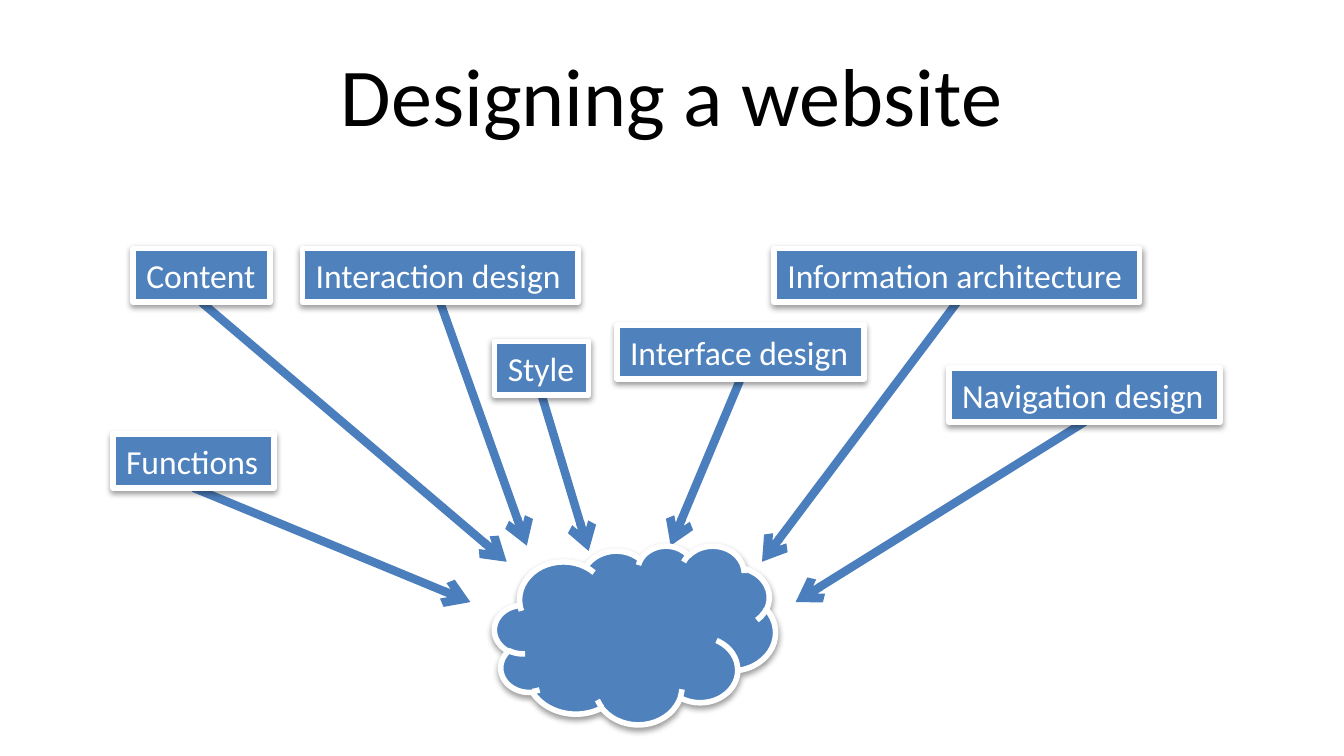
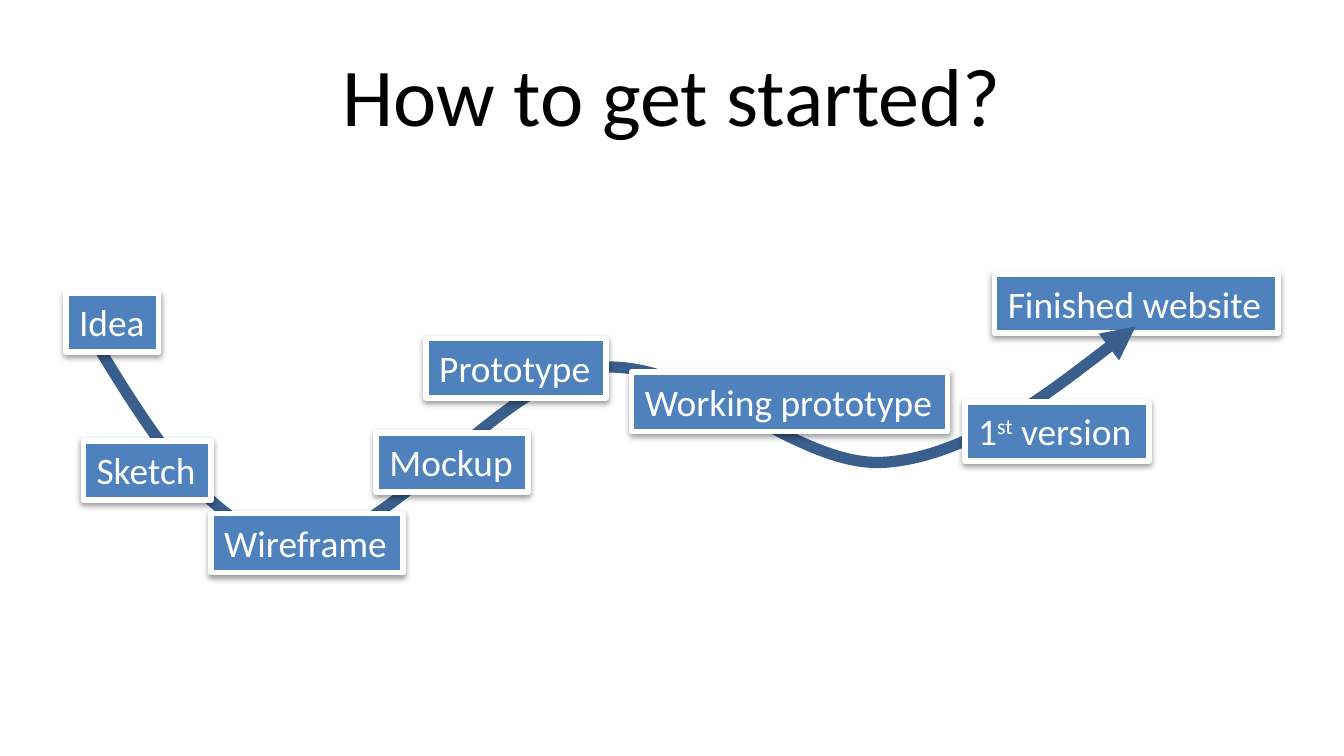
from lxml.etree import SubElement
from pptx import Presentation
from pptx.dml.color import RGBColor
from pptx.enum.shapes import MSO_CONNECTOR, MSO_SHAPE
from pptx.enum.text import MSO_ANCHOR, MSO_AUTO_SIZE, PP_ALIGN
from pptx.oxml.ns import qn
from pptx.util import Inches, Pt

BLACK = RGBColor(0x00, 0x00, 0x00)
WHITE = RGBColor(0xFF, 0xFF, 0xFF)
BLUE = RGBColor(0x4F, 0x81, 0xBD)
ARROW_BLUE = RGBColor(0x4B, 0x7E, 0xBC)
CURVE_BLUE = RGBColor(0x3A, 0x5F, 0x8C)
FONT = "Calibri"

# Label text, left, top, width, and the arrow's target at the cloud.
TOPICS = [
    ("Content", 0.99, 1.85, 1.02, (3.77, 4.18)),
    ("Style", 3.68, 2.54, 0.7, (4.38, 4.1)),
    ("Information architecture", 5.76, 1.85, 2.72, (5.67, 4.18)),
    ("Interaction design", 2.25, 1.85, 2.05, (3.92, 4.06)),
    ("Functions", 0.84, 3.23, 1.2, (3.5, 4.48)),
    ("Interface design", 4.59, 2.42, 1.84, (4.99, 4.06)),
    ("Navigation design", 7.06, 2.74, 2.02, (5.92, 4.48)),
]
TOPIC_HEIGHT = 0.4

GOAL = ("Finished website", 7.4, 2.04, 2.11)
STEPS = [
    ("Sketch", 0.62, 3.28, 0.95),
    ("Mockup", 2.8, 3.22, 1.13),
    ("Prototype", 3.17, 2.52, 1.34),
    ("Idea", 0.49, 2.18, 0.69),
    ("Working prototype", 4.7, 2.77, 2.35),
    (("1", "^st", " version"), 7.18, 2.99, 1.37),
    ("Wireframe", 1.57, 3.82, 1.43),
]
STEP_HEIGHT = 0.44

# A start point, then two control points and an end point for each bend.
JOURNEY = [
    (0.62, 2.4),
    (1.1, 3.19), (1.57, 3.99), (2.21, 4.04),
    (2.84, 4.1), (3.69, 2.84), (4.42, 2.74),
    (5.15, 2.64), (5.92, 3.49), (6.59, 3.44),
    (7.26, 3.39), (8.45, 2.43), (8.45, 2.43),
]


def write(frame, text, size, color, align=PP_ALIGN.LEFT,
          anchor=MSO_ANCHOR.TOP, wrap=False, grow=False):
    """Fill a text frame; a tuple gives runs, and ^ marks a superscript."""
    frame.word_wrap = wrap
    frame.vertical_anchor = anchor
    frame.auto_size = MSO_AUTO_SIZE.SHAPE_TO_FIT_TEXT if grow else MSO_AUTO_SIZE.NONE
    paragraph = frame.paragraphs[0]
    paragraph.alignment = align
    for part in (text,) if isinstance(text, str) else text:
        run = paragraph.add_run()
        run.text = part.lstrip("^")
        run.font.name = FONT
        run.font.size = Pt(size)
        run.font.color.rgb = color
        if part.startswith("^"):
            run.font._element.set("baseline", "30000")


def add_title(slide, text):
    """Add the centred slide title."""
    title = slide.shapes.add_textbox(Inches(0.5), Inches(0.23), Inches(9), Inches(0.94))
    write(title.text_frame, text, 44, BLACK, align=PP_ALIGN.CENTER,
          anchor=MSO_ANCHOR.MIDDLE, wrap=True)


def add_card(shapes, kind, left, top, width, height):
    """Add a blue shape with a white outline and a soft shadow below."""
    card = shapes.add_shape(kind, Inches(left), Inches(top), Inches(width), Inches(height))
    card.fill.solid()
    card.fill.fore_color.rgb = BLUE
    card.line.color.rgb = WHITE
    card.line.width = Pt(3)
    card.shadow.inherit = False
    effects = card._element.spPr.find(qn("a:effectLst"))
    shadow = SubElement(effects, qn("a:outerShdw"), blurRad="40000", dist="20000",
                        dir="5400000", rotWithShape="0")
    black = SubElement(shadow, qn("a:srgbClr"), val=str(BLACK))
    SubElement(black, qn("a:alpha"), val="38000")
    return card


def add_label(shapes, text, left, top, width, height, size):
    """Add a card that holds one line of white text."""
    label = add_card(shapes, MSO_SHAPE.RECTANGLE, left, top, width, height)
    write(label.text_frame, text, size, WHITE, grow=True)


def style_stroke(stroke, color, width, head):
    """Give a line its colour, its width in points and an arrowhead."""
    stroke.line.color.rgb = color
    stroke.line.width = Pt(width)
    SubElement(stroke.line._get_or_add_ln(), qn("a:tailEnd"), type=head)


def add_arrow(shapes, start, end):
    """Add a straight arrow without a shadow."""
    arrow = shapes.add_connector(MSO_CONNECTOR.STRAIGHT,
                                 *(Inches(value) for value in start + end))
    style_stroke(arrow, ARROW_BLUE, 4.5, "arrow")
    SubElement(arrow._element.spPr, qn("a:effectLst"))


def add_curve(shapes, points):
    """Add a smooth arrow; each three points after the first form one bend."""
    start, *rest = [(Inches(x), Inches(y)) for x, y in points]
    builder = shapes.build_freeform(*start)
    builder.add_line_segments(rest, close=False)
    curve = builder.convert_to_shape()
    curve.fill.background()
    curve.shadow.inherit = False
    style_stroke(curve, CURVE_BLUE, 6, "triangle")

    outline = next(curve._element.iter(qn("a:path")))
    segments = outline.findall(qn("a:lnTo"))
    for first in range(0, len(segments), 3):
        bend = SubElement(outline, qn("a:cubicBezTo"))
        for segment in segments[first:first + 3]:
            bend.append(segment[0])
            outline.remove(segment)


def build_design_slide(slide):
    """Show the topics that feed into a website."""
    for _, left, top, width, target in TOPICS:
        add_arrow(slide.shapes, (left + width / 2, top + TOPIC_HEIGHT), target)
    add_title(slide, "Designing a website")
    for text, left, top, width, _ in TOPICS:
        add_label(slide.shapes, text, left, top, width, TOPIC_HEIGHT, 18)
    add_card(slide.shapes, MSO_SHAPE.CLOUD, 3.68, 4.06, 2.09, 1.33)


def build_start_slide(slide):
    """Show the steps from an idea to a finished website."""
    add_title(slide, "How to get started?")
    roadmap = slide.shapes.add_group_shape().shapes
    add_label(roadmap, *GOAL, STEP_HEIGHT, 20)
    add_curve(roadmap, JOURNEY)
    for step in STEPS:
        add_label(roadmap, *step, STEP_HEIGHT, 20)


def main():
    """Build and save the presentation."""
    deck = Presentation()
    deck.slide_width = Inches(10)
    deck.slide_height = Inches(10 * 9 / 16)
    for build in (build_design_slide, build_start_slide):
        build(deck.slides.add_slide(deck.slide_layouts[6]))
    deck.save("out.pptx")


main()
